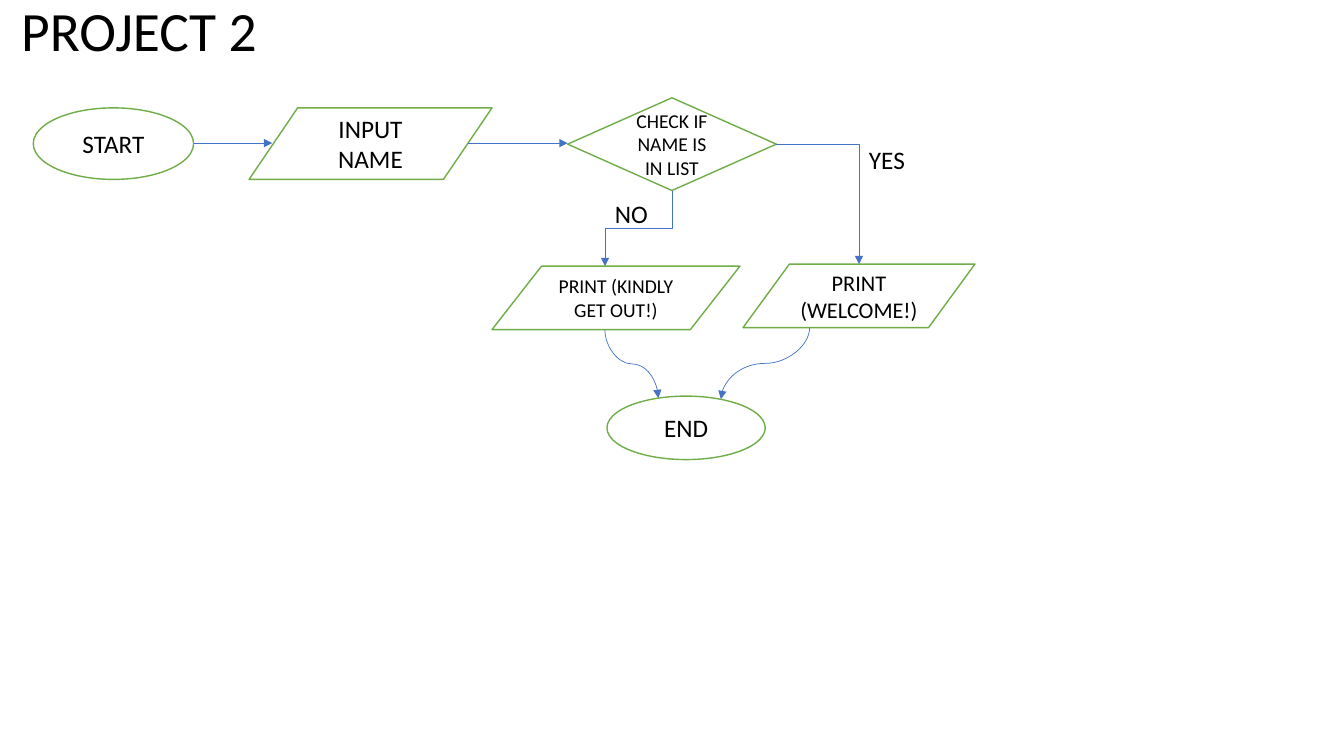
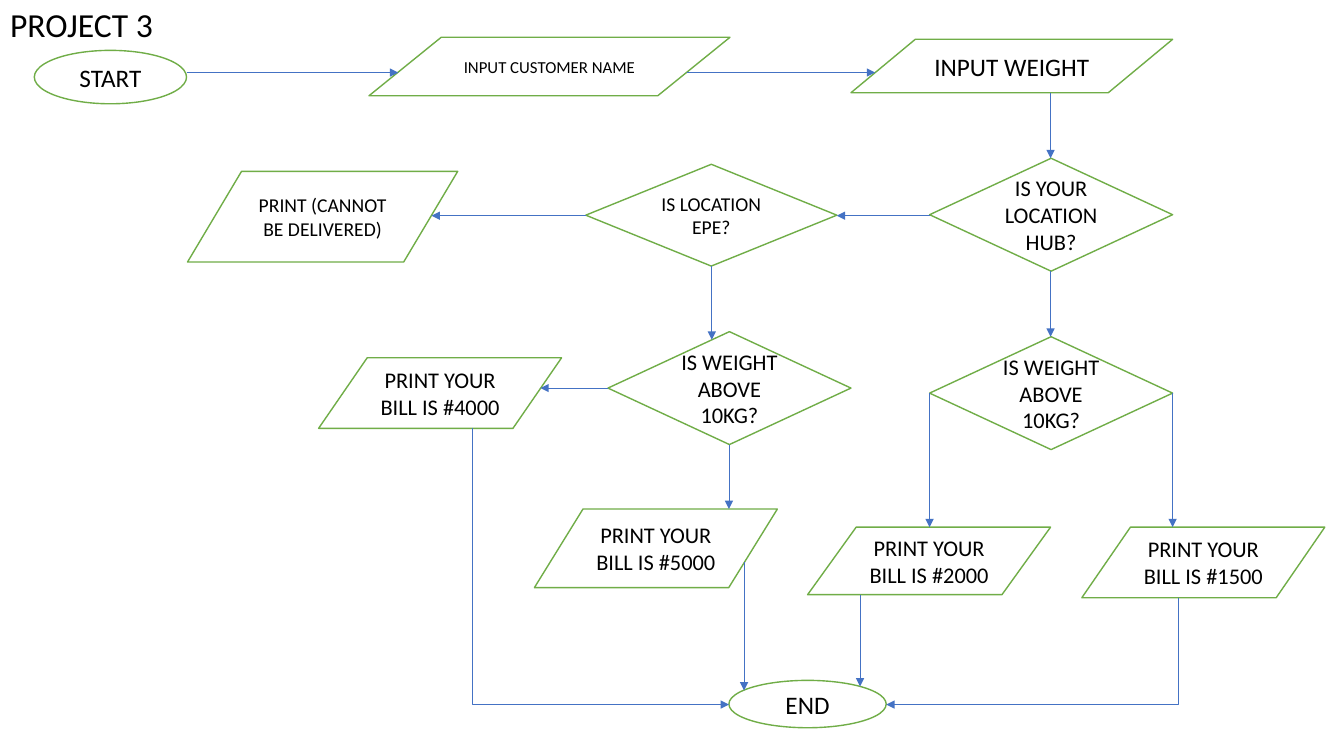
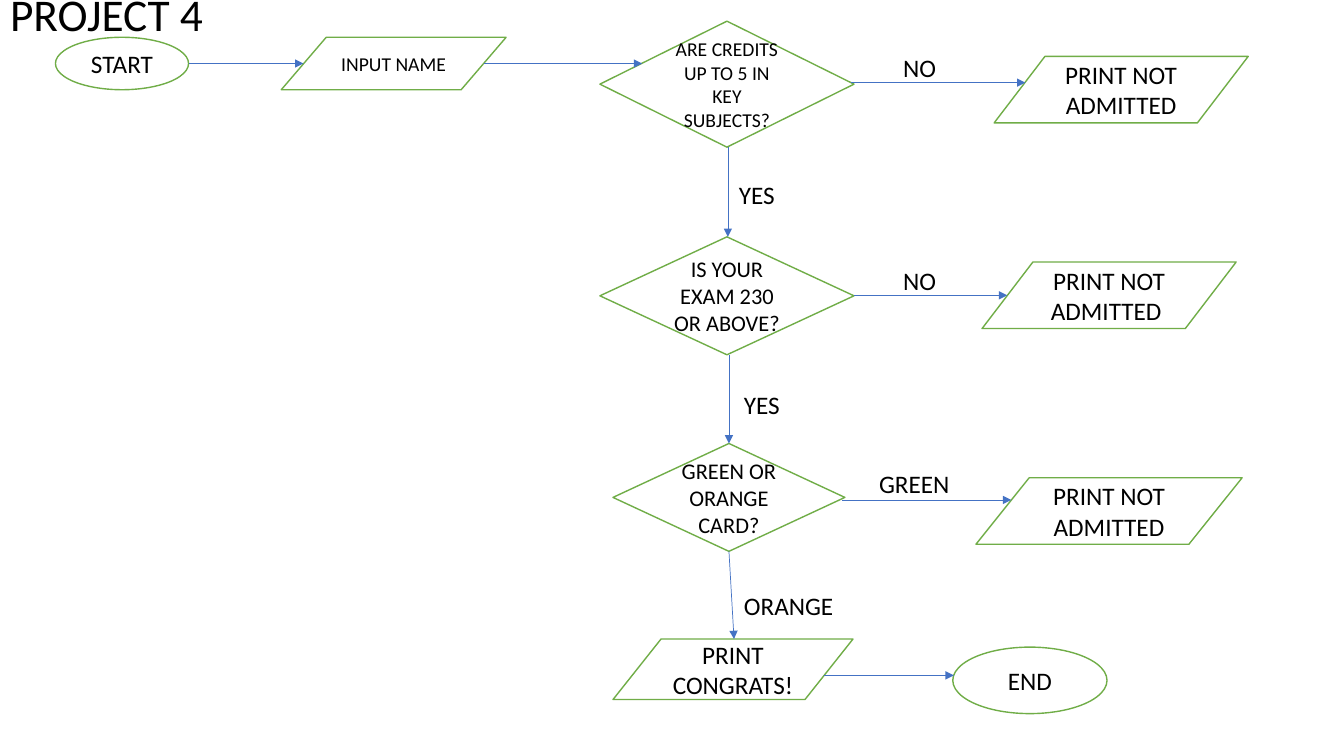
from dataclasses import dataclass

from lxml import etree
from pptx import Presentation
from pptx import util as u
from pptx.dml.color import RGBColor
from pptx.enum import shapes, text
from pptx.oxml import ns


@dataclass(frozen=True)
class Theme:
    font: str = "Calibri"
    ink: str = "000000"
    fill: str = "FFFFFF"
    edge: str = "70AD47"
    wire: str = "4472C4"
    edge_pt: float = 1
    wire_pt: float = 0.5
    tiny: int = 12
    small: int = 14
    mid: int = 16
    body: int = 18


T = Theme()
OVAL = shapes.MSO_SHAPE.OVAL
DATA = shapes.MSO_SHAPE.FLOWCHART_DATA
TEST = shapes.MSO_SHAPE.FLOWCHART_DECISION
LEFT = text.PP_ALIGN.LEFT
MID = text.PP_ALIGN.CENTER
TOP = text.MSO_ANCHOR.TOP
CORE = text.MSO_ANCHOR.MIDDLE
FIXED = text.MSO_AUTO_SIZE.NONE
GROW = text.MSO_AUTO_SIZE.SHAPE_TO_FIT_TEXT


def inches(*vals):
    return [u.Inches(val) for val in vals]


def write(shape, words, size=T.body, align=MID, anchor=CORE, fit=FIXED, space=None):
    frame = shape.text_frame
    frame.word_wrap = True
    frame.auto_size = fit
    frame.vertical_anchor = anchor
    para = frame.paragraphs[0]
    para.alignment = align
    para.line_spacing = space
    run = para.add_run()
    run.text = words
    run.font.name = T.font
    run.font.size = u.Pt(size)
    run.font.color.rgb = RGBColor.from_string(T.ink)


def page(deck, words, box, size):
    slide = deck.slides.add_slide(deck.slide_layouts[5])
    title = slide.shapes.title
    title.left, title.top, title.width, title.height = inches(*box)
    write(title, words, size=size, align=LEFT, space=0.9)
    return slide


def node(slide, kind, box, words, size=T.body):
    shape = slide.shapes.add_shape(kind, *inches(*box))
    shape.shadow.inherit = False
    shape.fill.solid()
    shape.fill.fore_color.rgb = RGBColor.from_string(T.fill)
    shape.line.color.rgb = RGBColor.from_string(T.edge)
    shape.line.width = u.Pt(T.edge_pt)
    write(shape, words, size=size)


def label(slide, left, top, width, words):
    box = slide.shapes.add_textbox(*inches(left, top, width, 0.4))
    write(box, words, align=LEFT, anchor=TOP, fit=GROW)


def arrow(slide, x1, y1, x2, y2, kind=shapes.MSO_CONNECTOR.STRAIGHT):
    line = slide.shapes.add_connector(kind, *inches(x1, y1, x2, y2))
    line.line.color.rgb = RGBColor.from_string(T.wire)
    line.line.width = u.Pt(T.wire_pt)
    tail = etree.SubElement(line.line._get_or_add_ln(), ns.qn("a:tailEnd"))
    tail.set("type", "triangle")
    etree.SubElement(line._element.spPr, ns.qn("a:effectLst"))
    return line


def bend(slide, x1, y1, x2, y2, preset, down=False, turn=None):
    wide, high, angle = x2 - x1, y2 - y1, 0
    if down:
        if wide > 0:
            wide, high, angle = -high, wide, 270
        else:
            wide, high, angle = high, -wide, 90
    mid_x, mid_y = (x1 + x2) / 2, (y1 + y2) / 2
    line = arrow(slide, mid_x - wide / 2, mid_y - high / 2,
                 mid_x + wide / 2, mid_y + high / 2, shapes.MSO_CONNECTOR.ELBOW)
    line.rotation = angle
    geom = line._element.spPr.find(ns.qn("a:prstGeom"))
    geom.set("prst", preset)
    if turn is not None:
        marks = geom.find(ns.qn("a:avLst"))
        if marks is None:
            marks = etree.SubElement(geom, ns.qn("a:avLst"))
        guide = etree.SubElement(marks, ns.qn("a:gd"))
        guide.set("name", "adj1")
        guide.set("fmla", f"val {round(turn * 100000)}")


def chart(slide, nodes, arrows, bends=(), labels=()):
    for item in nodes:
        node(slide, *item)
    for item in arrows:
        arrow(slide, *item)
    for ends, form in bends:
        bend(slide, *ends, **form)
    for item in labels:
        label(slide, *item)


def guests(deck):
    slide = page(deck, "PROJECT 2", (0.11, 0.17, 2.69, 0.33), 39.6)
    chart(
        slide,
        nodes=[
            (OVAL, (0.33, 1.07, 1.59, 0.71), "START"),
            (DATA, (2.47, 1.07, 2.41, 0.71), "INPUT NAME"),
            (TEST, (5.63, 0.97, 2.07, 0.92), "CHECK IF NAME IS IN LIST", T.small),
            (DATA, (7.37, 2.62, 2.3, 0.63), "PRINT (WELCOME!)", T.mid),
            (DATA, (4.88, 2.64, 2.46, 0.63), "PRINT (KINDLY GET OUT!)", T.small),
            (OVAL, (6.02, 3.93, 1.57, 0.63), "END"),
        ],
        arrows=[(1.92, 1.42, 2.7, 1.42), (4.64, 1.42, 5.63, 1.42)],
        bends=[
            ((7.7, 1.43, 8.52, 2.62), dict(preset="bentConnector2")),
            ((6.67, 1.89, 6, 2.64), dict(preset="bentConnector3", down=True)),
            ((6, 3.27, 6.53, 3.95), dict(preset="curvedConnector3", down=True)),
            ((8.03, 3.25, 7.15, 3.96), dict(preset="curvedConnector3", down=True)),
        ],
        labels=[(8.52, 1.38, 0.93, "YES"), (6, 1.92, 0.53, "NO")],
    )


def bills(deck):
    slide = page(deck, "PROJECT 3", (0, 0, 1.85, 0.53), 24)
    nodes = [
        (OVAL, (0.34, 0.5, 1.51, 0.53), "START"),
        (DATA, (3.66, 0.37, 3.58, 0.58), "INPUT CUSTOMER NAME", T.tiny),
        (DATA, (8.44, 0.39, 3.19, 0.53), "INPUT WEIGHT"),
        (TEST, (9.22, 1.57, 2.41, 1.12), "IS YOUR LOCATION HUB?", T.mid),
        (TEST, (5.81, 1.63, 2.49, 1.01), "IS LOCATION EPE?", T.small),
        (DATA, (1.86, 1.7, 2.68, 0.9), "PRINT (CANNOT BE DELIVERED)", T.small),
        (OVAL, (7.23, 6.75, 1.56, 0.47), "END"),
    ]
    nodes += [(TEST, (left, top, 2.41, 1.12), "IS WEIGHT ABOVE 10KG?", T.mid)
              for left, top in [(9.22, 3.34), (6.03, 3.29)]]
    nodes += [(DATA, (left, top, 2.41, high), f"PRINT YOUR BILL IS #{cost}", T.mid)
              for left, top, high, cost in [
                  (10.73, 5.23, 0.7, 1500), (8.01, 5.23, 0.67, 2000),
                  (5.3, 5.05, 0.78, 5000), (3.16, 3.55, 0.7, 4000)]]
    chart(
        slide,
        nodes=nodes,
        arrows=[
            (1.85, 0.72, 3.95, 0.72),
            (6.81, 0.72, 8.68, 0.72),
            (10.42, 0.92, 10.42, 1.57),
            (9.22, 2.14, 8.3, 2.14),
            (5.81, 2.14, 4.28, 2.14),
            (10.42, 2.69, 10.42, 3.34),
            (7.06, 2.64, 7.06, 3.37),
            (6.03, 3.85, 5.36, 3.85),
            (11.63, 3.9, 11.63, 5.23),
            (9.22, 3.9, 9.22, 5.23),
            (7.23, 4.41, 7.23, 5.05),
            (7.38, 5.58, 7.38, 6.85),
            (8.53, 5.9, 8.53, 6.81),
        ],
        bends=[
            ((4.69, 4.25, 7.23, 6.99), dict(preset="bentConnector3", down=True, turn=1)),
            ((11.69, 5.93, 8.79, 6.99), dict(preset="bentConnector2", down=True)),
        ],
    )


def entry(deck):
    slide = page(deck, "PROJECT 4", (0, 0, 2.52, 0.33), 32.4)
    chart(
        slide,
        nodes=[
            (OVAL, (0.55, 0.37, 1.32, 0.52), "START"),
            (DATA, (2.79, 0.37, 2.23, 0.52), "INPUT NAME", T.small),
            (TEST, (5.95, 0.21, 2.52, 1.25), "ARE CREDITS UP TO 5 IN KEY SUBJECTS?", T.small),
            (DATA, (9.86, 0.56, 2.52, 0.66), "PRINT NOT ADMITTED"),
            (TEST, (5.95, 2.35, 2.52, 1.17), "IS YOUR EXAM 230 OR ABOVE?", T.mid),
            (DATA, (9.74, 2.6, 2.52, 0.66), "PRINT NOT ADMITTED "),
            (TEST, (6.08, 4.4, 2.3, 1.07), "GREEN OR ORANGE CARD?", T.mid),
            (DATA, (9.68, 4.74, 2.64, 0.66), "PRINT NOT ADMITTED"),
            (DATA, (6.08, 6.34, 2.38, 0.6), "PRINT CONGRATS!"),
            (OVAL, (9.45, 6.42, 1.53, 0.66), "END"),
        ],
        arrows=[
            (1.87, 0.63, 3.01, 0.63),
            (4.8, 0.63, 6.37, 0.63),
            (8.44, 0.82, 10.17, 0.82),
            (7.22, 1.46, 7.22, 2.35),
            (8.47, 2.93, 9.99, 2.93),
            (7.23, 3.52, 7.23, 4.4),
            (8.35, 4.96, 10.03, 4.96),
            (7.23, 5.47, 7.28, 6.34),
            (8.17, 6.7, 9.46, 6.7),
        ],
        labels=[
            (8.86, 0.47, 0.73, "NO"),
            (7.23, 1.73, 0.74, "YES"),
            (8.86, 2.58, 0.63, "NO"),
            (7.28, 3.81, 0.7, "YES"),
            (8.62, 4.6, 1.21, "GREEN"),
            (7.28, 5.81, 1.15, "ORANGE"),
        ],
    )


def main():
    deck = Presentation()
    deck.slide_width, deck.slide_height = inches(13.33, 7.5)
    for build in (guests, bills, entry):
        build(deck)
    deck.save("out.pptx")


main()
